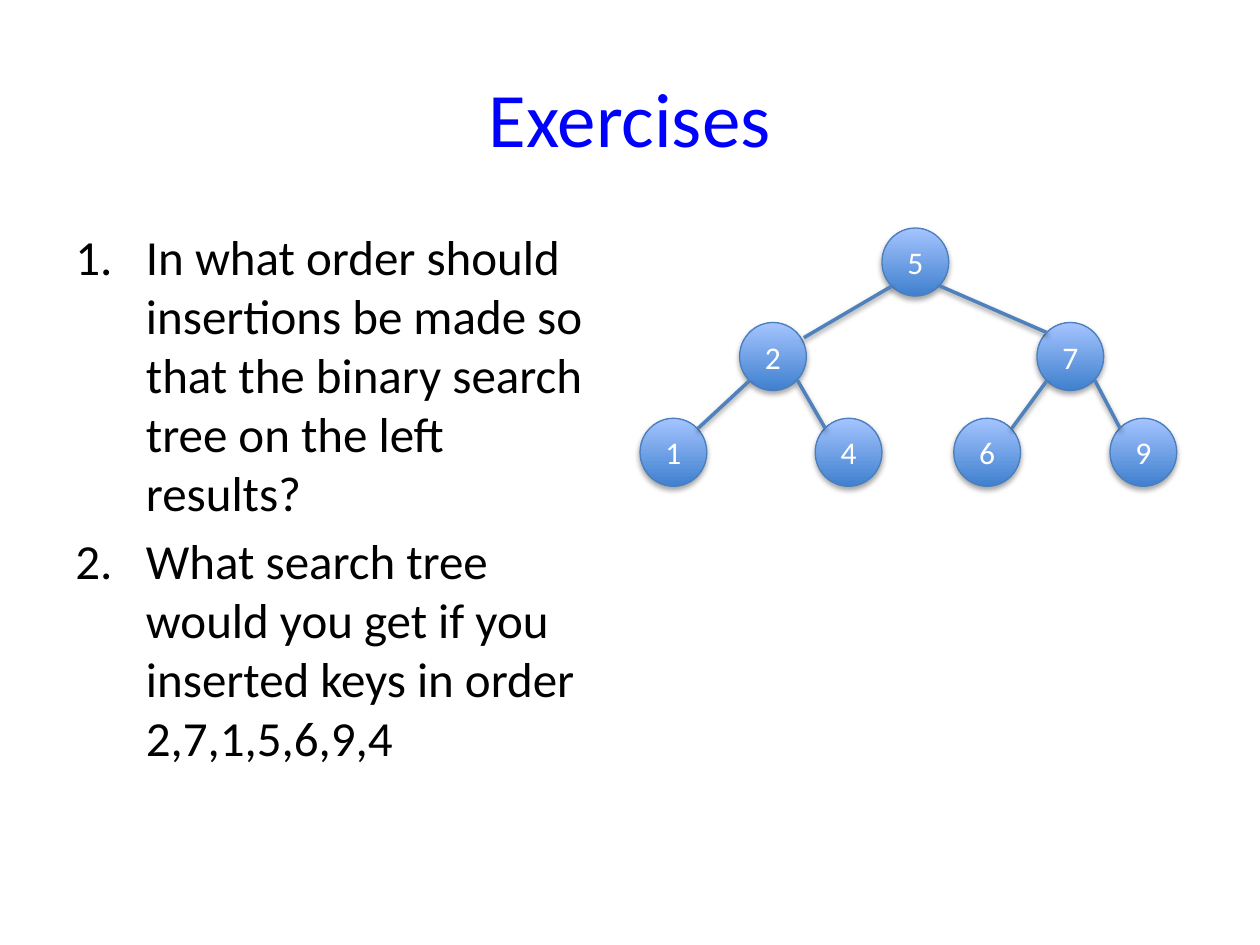
from lxml.etree import SubElement
from pptx import Presentation
from pptx.dml.color import RGBColor
from pptx.enum.shapes import MSO_CONNECTOR, MSO_SHAPE
from pptx.enum.text import MSO_ANCHOR, PP_ALIGN
from pptx.oxml.ns import qn
from pptx.util import Inches, Pt

WIDE, HIGH = 0.53, 0.54
NEAR, FAR = 0.08, 0.46  # diagonal points on a node's rim

NODES = {
    "1": (5.08, 3.32), "2": (5.87, 2.56), "4": (6.47, 3.32), "5": (7, 1.81),
    "6": (7.57, 3.32), "7": (8.23, 2.56), "9": (8.81, 3.32),
}
EDGES = ["21", "52", "24", "76", "57", "79"]
NUDGE = {"52": (0.05, 0.04)}  # shifts the lower end of an edge

TASKS = [
    "In what order should insertions be made so that the binary search "
    "tree on the left results?",
    "What search tree would you get if you inserted keys in order "
    "2,7,1,5,6,9,4",
]


def color(code):
    return RGBColor.from_string(code)


class Deck:
    font = "Calibri"

    def __init__(self):
        self.file = Presentation()
        self.file.slide_width = Inches(10)
        self.file.slide_height = Inches(7.5)
        self.slide = self.file.slides.add_slide(self.file.slide_layouts[6])

    def style(self, para, size, code):
        for run in para.runs:
            run.font.name = self.font
            run.font.size = Pt(size)
            run.font.color.rgb = color(code)

    def shade(self, shape, dist, alpha):
        """Add a soft shadow that falls straight down."""
        effects = SubElement(shape._element.spPr, qn("a:effectLst"))
        shadow = SubElement(
            effects, qn("a:outerShdw"), blurRad=str(Pt(3.1)),
            dist=str(Pt(dist)), dir="5400000", rotWithShape="0")
        black = SubElement(shadow, qn("a:srgbClr"), val="000000")
        SubElement(black, qn("a:alpha"), val=str(alpha * 1000))

    def box(self, left, top, width, height):
        shape = self.slide.shapes.add_textbox(
            Inches(left), Inches(top), Inches(width), Inches(height))
        shape.text_frame.word_wrap = True
        return shape.text_frame

    def title(self, text):
        frame = self.box(0.5, 0.3, 9, 1.25)
        frame.vertical_anchor = MSO_ANCHOR.MIDDLE
        frame.text = text
        para = frame.paragraphs[0]
        para.alignment = PP_ALIGN.CENTER
        self.style(para, 44, "0000FF")

    def steps(self, items):
        frame = self.box(0.5, 1.75, 4.42, 4.95)
        frame.text = "\n".join(items)
        for para in frame.paragraphs:
            para.space_before = Pt(5.6)
            self.style(para, 28, "000000")
            props = para._p.get_or_add_pPr()
            props.set("marL", str(Inches(0.56)))
            props.set("indent", str(Inches(-0.56)))
            SubElement(props, qn("a:buFont"), typeface="+mj-lt")
            SubElement(props, qn("a:buAutoNum"), type="arabicPeriod")

    def node(self, key, left, top):
        shape = self.slide.shapes.add_shape(
            MSO_SHAPE.OVAL, Inches(left), Inches(top),
            Inches(WIDE), Inches(HIGH))
        shape.fill.gradient()
        shape.fill.gradient_angle = 90
        for stop, code in zip(shape.fill.gradient_stops, ("3F80CE", "A4C4FF")):
            stop.color.rgb = color(code)
        shape.line.color.rgb = color("4B7EBC")
        shape.line.width = Pt(0.75)
        self.shade(shape, 1.8, 35)
        frame = shape.text_frame
        frame.vertical_anchor = MSO_ANCHOR.MIDDLE
        frame.text = key
        para = frame.paragraphs[0]
        para.alignment = PP_ALIGN.CENTER
        self.style(para, 18, "FFFFFF")

    def edge(self, upper, lower, shift):
        """Join the lower rim of one node to the upper rim of its child."""
        (x1, y1), (x2, y2) = upper, lower
        out, into = (NEAR, FAR) if x2 < x1 else (FAR, NEAR)
        line = self.slide.shapes.add_connector(
            MSO_CONNECTOR.STRAIGHT, Inches(x1 + out), Inches(y1 + FAR),
            Inches(x2 + into + shift[0]), Inches(y2 + NEAR + shift[1]))
        line.line.color.rgb = color("4F81BD")
        line.line.width = Pt(2)
        self.shade(line, 1.6, 38)


def main():
    deck = Deck()
    deck.title("Exercises")
    deck.steps(TASKS)
    for key, place in NODES.items():
        deck.node(key, *place)
    for pair in EDGES:
        deck.edge(NODES[pair[0]], NODES[pair[1]], NUDGE.get(pair, (0, 0)))
    deck.file.save("out.pptx")


if __name__ == "__main__":
    main()
